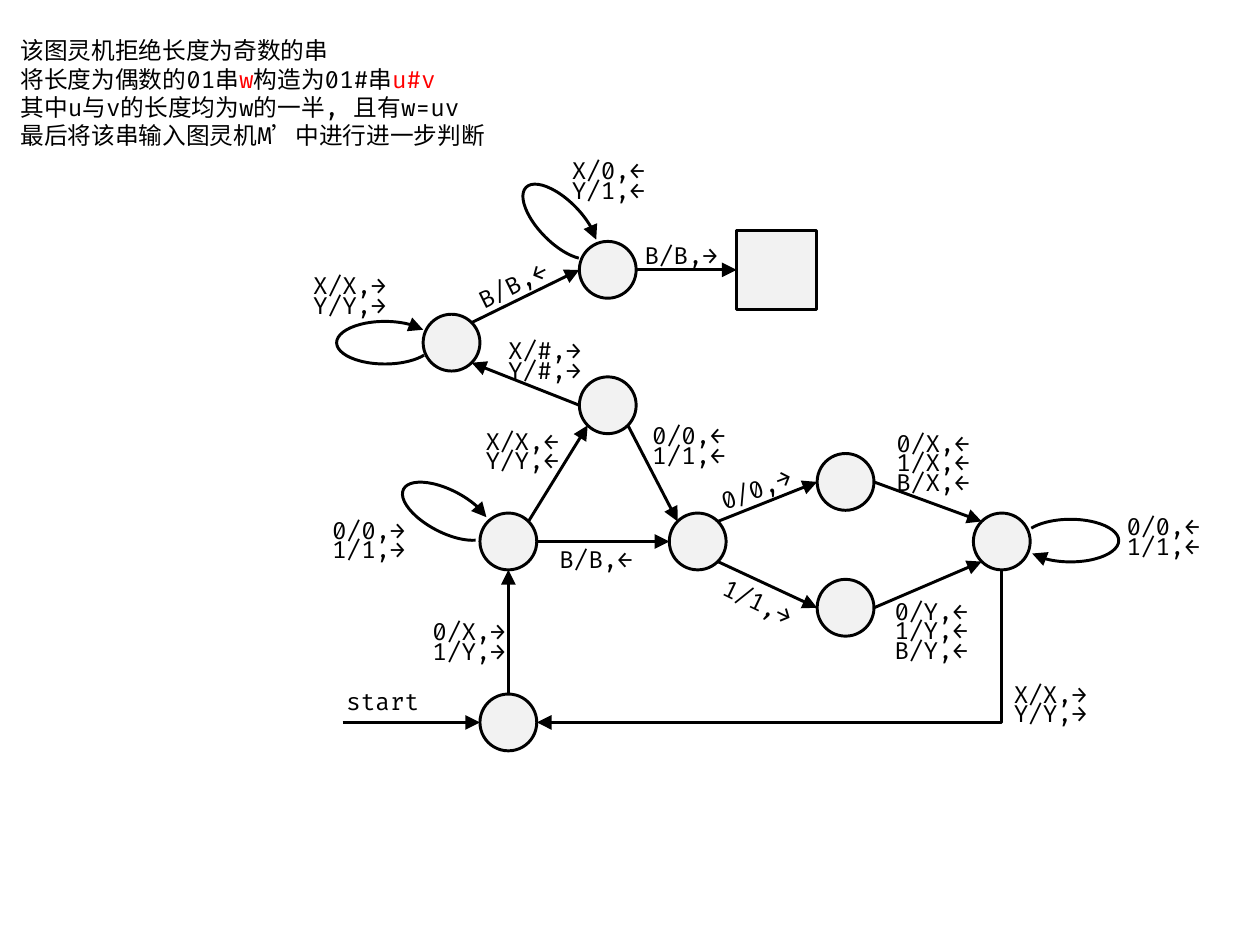
import math
from typing import NamedTuple

import pptx
import pptx.dml.color
import pptx.enum.shapes
import pptx.enum.text
import pptx.oxml
import pptx.oxml.ns
import pptx.util
from lxml import etree

Pt = pptx.util.Pt
RGB = pptx.dml.color.RGBColor
KIND = pptx.enum.shapes.MSO_SHAPE
LINK = pptx.enum.shapes.MSO_CONNECTOR
FIT = pptx.enum.text.MSO_AUTO_SIZE
qn = pptx.oxml.ns.qn

BLACK = RGB(0x00, 0x00, 0x00)
RED = RGB(0xFF, 0x00, 0x00)
GREY = RGB(0xF2, 0xF2, 0xF2)
FONT = "Fira Code"
SIZE = 18
RADIUS = 21.6
SIDE = 60.5
PITCH = 14.9
HEIGHT = 28.8
LOOP = (32.4, 73.4)


class Point(NamedTuple):
    x: float
    y: float


class Edge(NamedTuple):
    start: str
    leave: int
    goal: str
    reach: int


class Loop(NamedTuple):
    x: float
    y: float
    turn: float


class Label(NamedTuple):
    lines: list[str]
    x: float
    y: float
    turn: float = 0


STATES = {
    "start": Point(386.6, 549.4),
    "scan": Point(386.6, 411.8),
    "read": Point(530.6, 411.8),
    "split": Point(462.2, 308.2),
    "reset": Point(462.2, 205.2),
    "zero": Point(643, 366.5),
    "one": Point(643, 462.2),
    "back": Point(761.8, 411.8),
    "skip": Point(343.4, 260.6),
}

EDGES = [
    Edge("start", -90, "scan", 90),
    Edge("scan", 0, "read", 180),
    Edge("scan", -45, "split", 135),
    Edge("split", 45, "read", -135),
    Edge("read", -45, "zero", 180),
    Edge("one", 0, "back", 135),
    Edge("read", 45, "one", 180),
    Edge("zero", 0, "back", -135),
    Edge("split", 180, "skip", 45),
    Edge("skip", -45, "reset", 180),
]

LOOPS = [
    Loop(323.3, 352.1, 297.2),
    Loop(797.8, 374.4, 90),
    Loop(409.7, 131.8, 315.3),
    Loop(276.5, 223.9, 270),
]

LABELS = [
    Label(["start"], 256.3, 519.1),
    Label(["0/X,→", "1/Y,→"], 321.8, 465.8),
    Label(["0/0,→", "1/1,→"], 245.5, 388.4),
    Label(["B/B,←"], 418.3, 411.1),
    Label(["0/0,←", "1/1,←"], 488.9, 316.8),
    Label(["X/X,←", "Y/Y,←"], 362.2, 320.9),
    Label(["0/0,→"], 540, 357.1, 339.2),
    Label(["1/1,→"], 541.4, 443.5, 25.5),
    Label(["0/X,←", "1/X,←", "B/X,←"], 674.6, 322.4),
    Label(["0/Y,←", "1/Y,←", "B/Y,←"], 673.2, 450),
    Label(["X/X,→", "Y/Y,→"], 763.9, 513.2),
    Label(["0/0,←", "1/1,←"], 849.6, 386),
    Label(["X/#,→", "Y/#,→"], 379.4, 252.1),
    Label(["B/B,→"], 483.1, 179.3),
    Label(["X/0,←", "Y/1,←"], 427.7, 115),
    Label(["X/X,→", "Y/Y,→"], 231.1, 202.4),
    Label(["B/B,←"], 355, 201.6, 333.7),
]

NOTES = [
    [("该图灵机拒绝长度为奇数的串", BLACK)],
    [("将长度为偶数的01串", BLACK), ("w", RED), ("构造为01#串", BLACK), ("u#v", RED)],
    [("其中u与v的长度均为w的一半, 且有w=uv", BLACK)],
    [("最后将该串输入图灵机M’中进行进一步判断", BLACK)],
]


def site(state: str, angle: float) -> Point:
    mid = STATES[state]
    turn = math.radians(angle)
    return Point(mid.x + RADIUS * math.cos(turn), mid.y + RADIUS * math.sin(turn))


def ink(shape, arrow: bool = False) -> None:
    shape.line.color.rgb = BLACK
    shape.line.width = Pt(2.25)
    if arrow:
        etree.SubElement(shape.get_or_add_ln(), qn("a:tailEnd"),
                         type="triangle", w="lg", len="lg")


def solid(shapes, kind, mid: Point, size: float):
    shape = shapes.add_shape(
        kind, Pt(mid.x - size / 2), Pt(mid.y - size / 2), Pt(size), Pt(size))
    shape.shadow.inherit = False
    shape.fill.solid()
    shape.fill.fore_color.rgb = GREY
    ink(shape)
    return shape


def arrow(shapes, tip: Point, end: Point, kind=LINK.STRAIGHT):
    line = shapes.add_connector(kind, Pt(tip.x), Pt(tip.y), Pt(end.x), Pt(end.y))
    ink(line, True)
    etree.SubElement(line._element.spPr, qn("a:effectLst"))
    return line


def bend(shapes, tip: Point, end: Point) -> None:
    mid = Point((tip.x + end.x) / 2, (tip.y + end.y) / 2)
    wide, high = end.y - tip.y, tip.x - end.x
    line = arrow(shapes, Point(mid.x - wide / 2, mid.y - high / 2),
                 Point(mid.x + wide / 2, mid.y + high / 2), LINK.ELBOW)
    form = line._element.spPr
    form.find(qn("a:xfrm")).set("rot", str(90 * 60000))
    form.find(qn("a:prstGeom")).set("prst", "bentConnector2")


def loop(shapes, item: Loop) -> None:
    arc = shapes.add_shape(KIND.ARC, Pt(item.x), Pt(item.y), *map(Pt, LOOP))
    arc.adjustments[0] = 64.56
    arc.adjustments[1] = 42.78
    arc.rotation = item.turn
    arc.shadow.inherit = False
    arc.fill.background()
    ink(arc, True)


def style(font) -> None:
    font.name = FONT
    font.size = Pt(SIZE)
    font.color.rgb = BLACK


def label(shapes, item: Label) -> None:
    for row, text in enumerate(item.lines):
        box = shapes.add_textbox(
            Pt(item.x), Pt(item.y + row * PITCH), Pt(71.3), Pt(HEIGHT))
        box.rotation = item.turn
        frame = box.text_frame
        frame.word_wrap = False
        frame.auto_size = FIT.SHAPE_TO_FIT_TEXT
        frame.text = text
        style(frame.paragraphs[0].font)


def notes(shapes) -> None:
    box = shapes.add_textbox(Pt(8.6), Pt(23.8), Pt(416.2), Pt(94.3))
    frame = box.text_frame
    frame.word_wrap = True
    frame.auto_size = FIT.SHAPE_TO_FIT_TEXT
    for row, parts in enumerate(NOTES):
        para = frame.add_paragraph() if row else frame.paragraphs[0]
        style(para.font)
        for text, tint in parts:
            run = para.add_run()
            run.text = text
            if tint != BLACK:
                run.font.color.rgb = tint


def main() -> None:
    deck = pptx.Presentation()
    deck.slide_width, deck.slide_height = Pt(958.13), Pt(708.75)
    shapes = deck.slides.add_slide(deck.slide_layouts[6]).shapes
    for mid in STATES.values():
        solid(shapes, KIND.OVAL, mid, 2 * RADIUS)
    square = solid(shapes, KIND.RECTANGLE, Point(590.4, 205.2), SIDE)
    entry = site("start", 180)
    arrow(shapes, Point(260.6, entry.y), entry)
    final = site("reset", 0)
    arrow(shapes, final, final).end_connect(square, 1)
    for edge in EDGES:
        arrow(shapes, site(edge.start, edge.leave), site(edge.goal, edge.reach))
    bend(shapes, site("back", 90), site("start", 0))
    for item in LOOPS:
        loop(shapes, item)
    for item in LABELS:
        label(shapes, item)
    notes(shapes)
    deck.save("out.pptx")


if __name__ == "__main__":
    main()
